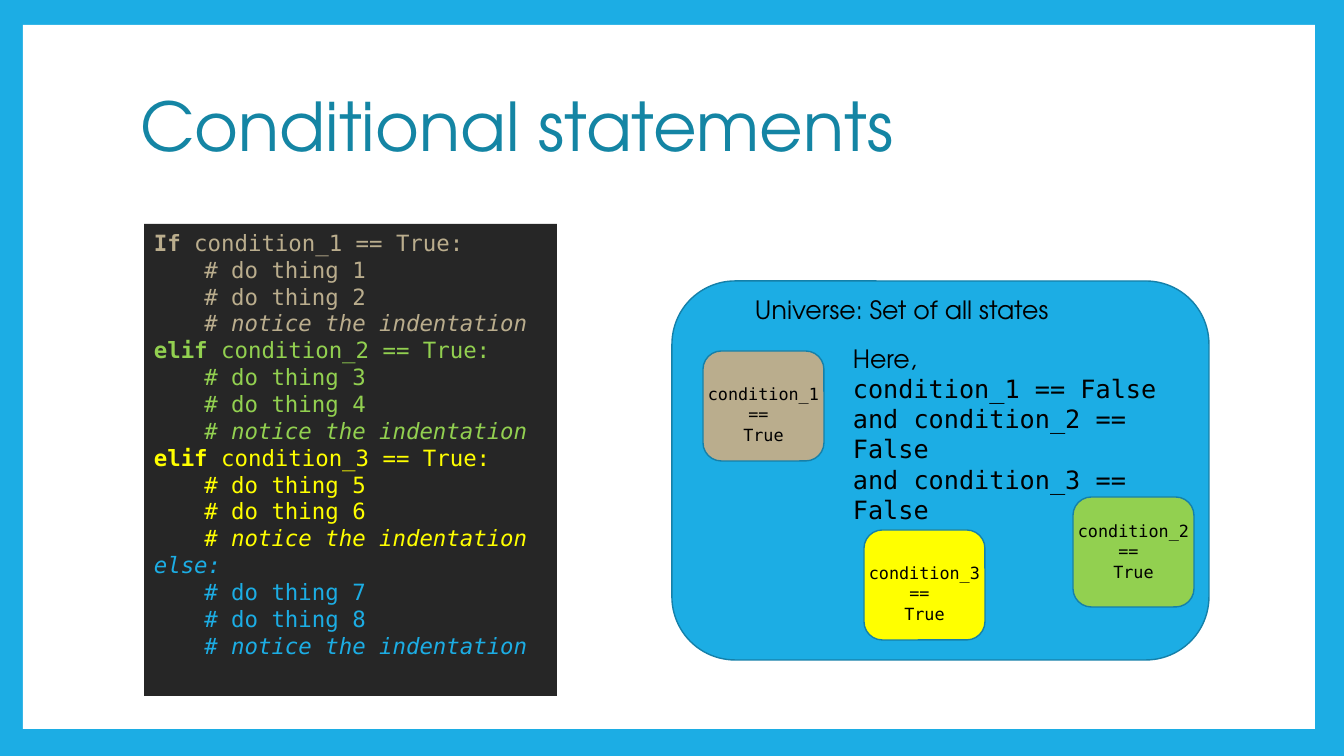
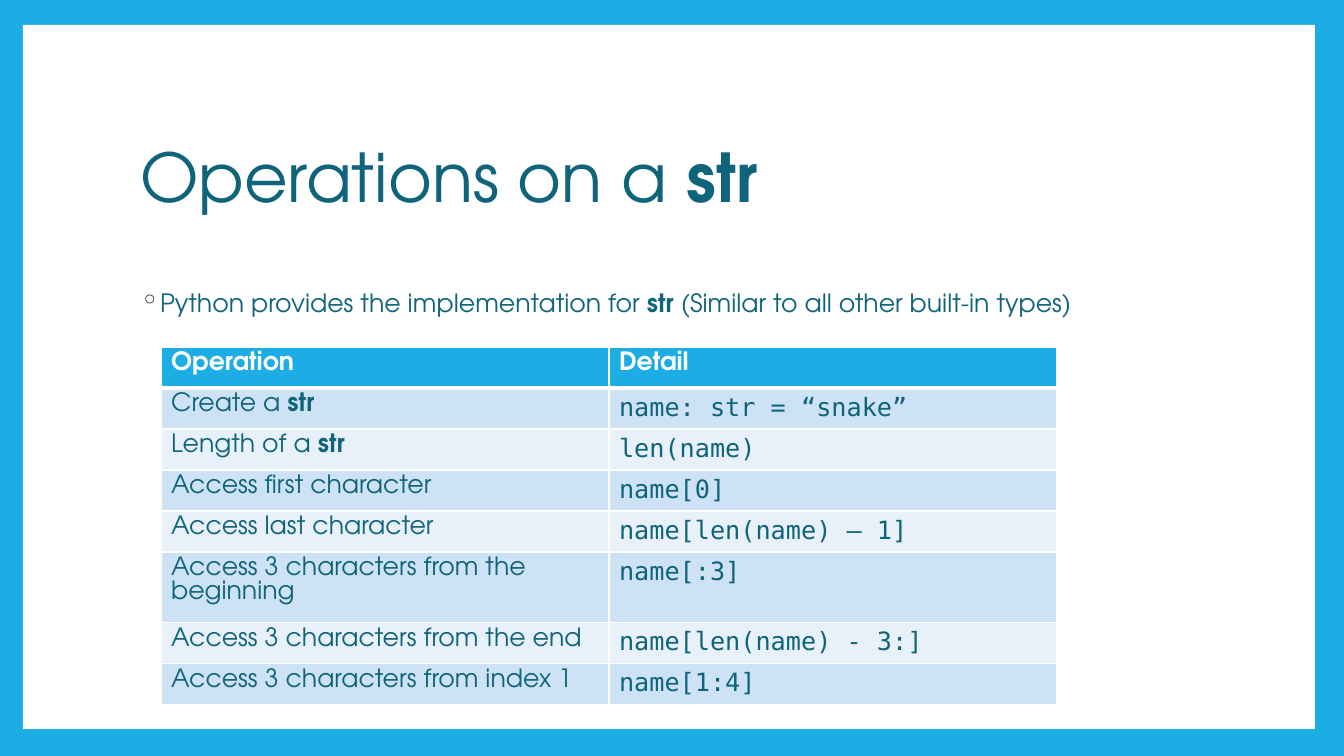
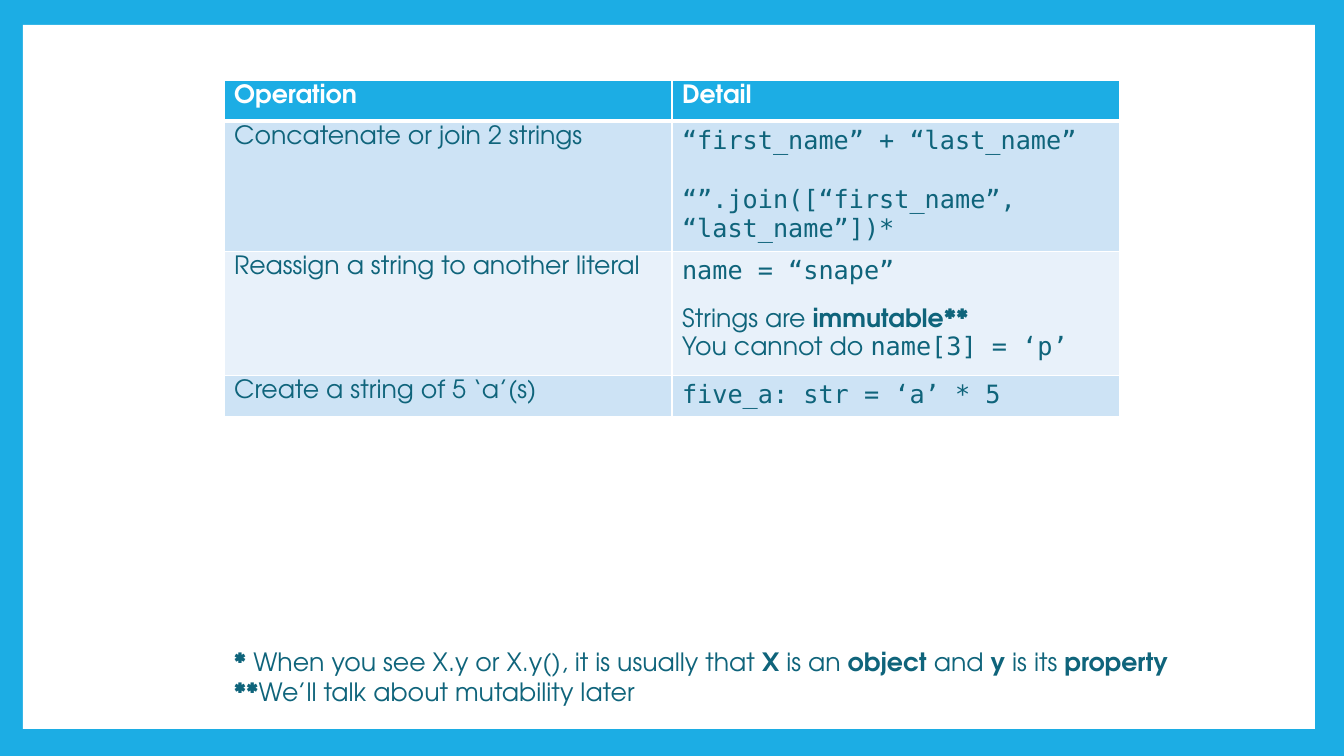
from pptx import Presentation
from pptx.dml.color import RGBColor
from pptx.enum.shapes import MSO_SHAPE
from pptx.enum.text import MSO_ANCHOR, PP_ALIGN
from pptx.oxml.ns import qn
from pptx.util import Emu, Pt
from lxml import etree

RECT, ROUND = MSO_SHAPE.RECTANGLE, MSO_SHAPE.ROUNDED_RECTANGLE
LEFT, MID = PP_ALIGN.LEFT, PP_ALIGN.CENTER
TOP, CENTER = MSO_ANCHOR.TOP, MSO_ANCHOR.MIDDLE
SANS, MONO = "TeX Gyre Adventor", "DejaVu Sans Mono"
WIDE, HIGH = 1344, 756
HUES = {
    "blue": "1CADE4", "edge": "1580A9", "title": "1485A4", "deep": "0F647B",
    "white": "FFFFFF", "black": "000000", "dark": "262626", "tan": "BAAD8D",
    "green": "92D050", "yellow": "FFFF00", "odd": "CDE3F5", "even": "E8F1FA",
}


def px(count):
    return Emu(round(count * 914400 / 100.8))


def hue(name):
    return RGBColor.from_string(HUES[name])


# Text: a line is a list of (text, flags); flags are b bold, i italic, m mono
def style(line, runs, size, color):
    for text, flags in runs:
        run = line.add_run()
        run.text = text
        font = run.font
        font.name = MONO if "m" in flags else SANS
        font.size = Pt(size)
        font.bold = "b" in flags
        font.italic = "i" in flags
        font.color.rgb = hue(color)


def write(frame, lines, size=18, color="deep", align=LEFT):
    for at, runs in enumerate(lines):
        line = frame.add_paragraph() if at else frame.paragraphs[0]
        line.alignment = align
        style(line, runs, size, color)
    return frame.paragraphs


def add_text(slide, box, lines, *look):
    frame = slide.shapes.add_textbox(*map(px, box)).text_frame
    frame.word_wrap = True
    return write(frame, lines, *look)


def add_box(slide, kind, box, fill, edge=None):
    shape = slide.shapes.add_shape(kind, *map(px, box))
    shape.shadow.inherit = False
    shape.fill.solid()
    shape.fill.fore_color.rgb = hue(fill)
    if edge:
        shape.line.color.rgb = hue(edge)
        shape.line.width = Pt(1)
    else:
        shape.line.fill.background()
    return shape


# Shared frame and title
def add_page(deck, layout):
    slide = deck.slides.add_slide(deck.slide_layouts[layout])
    back = [add_box(slide, RECT, (0, 0, WIDE, HIGH), "blue"),
            add_box(slide, RECT, (23, 25, 1292, 704), "white")]
    tree = slide.shapes._spTree
    for at, shape in enumerate(back):
        tree.insert(2 + at, shape._element)
    return slide


def add_title(slide, top, runs, color):
    title = slide.shapes.title
    title.left, title.top, title.width, title.height = map(
        px, (130, top, 1080, 168))
    frame = title.text_frame
    frame.word_wrap = True
    frame.vertical_anchor = CENTER
    write(frame, [runs], 48, color)[0].line_spacing = 0.9


# Code panel
def add_code(slide, box):
    frame = add_box(slide, RECT, box, "dark").text_frame
    frame.word_wrap = True
    frame.vertical_anchor = TOP
    heads = [
        ("tan", [("If", "mb"), (" condition_1 == True:", "m")]),
        ("green", [("elif", "mb"), (" condition_2 == True:", "m")]),
        ("yellow", [("elif", "mb"), (" condition_3 == True:", "m")]),
        ("blue", [("else:", "mi")]),
    ]
    for at, (color, head) in enumerate(heads):
        steps = [[(f"# do thing {2 * at + step}", "m")] for step in (1, 2)]
        note = [("# notice the indentation", "mi")]
        for row, runs in enumerate([head, *steps, note]):
            first = at == row == 0
            line = frame.paragraphs[0] if first else frame.add_paragraph()
            line.alignment = LEFT
            if row:
                line.level = 1
                line._p.get_or_add_pPr().set("marL", "457200")
            style(line, runs, 16, color)


# Diagram of states
def add_states(slide, box):
    left, top = box[:2]
    add_box(slide, ROUND, box, "blue", "edge")
    add_text(slide, (left + 73, top + 8, 319, 72),
             [[("Universe: Set of all states", "")]], 18, "black")
    states = [(1, 31, 70, 28, "tan"), (2, 401, 216, 19, "green"),
              (3, 192, 249, 28, "yellow")]
    for num, dx, dy, drop, fill in states:
        x, y = left + dx, top + dy
        add_box(slide, ROUND, (x, y, 121, 110), fill, "edge")
        words = (f"condition_{num} ", "== ", "True")
        add_text(slide, (x - 6, y + drop, 133, 72),
                 [[(word, "m")] for word in words], 12, "black", MID)
    add_text(slide, (left + 171, top + 57, 369, 132), [
        [("Here, ", "")],
        [("condition_1 == False ", "m")],
        [("and condition_2 == False ", "m")],
        [("and condition_3 == False", "m")],
    ], 18, "black")


# Table of operations
def add_edges(cell, row):
    props = cell._tc.get_or_add_tcPr()
    widths = {"lnL": 1, "lnR": 1, "lnT": 3 if row == 1 else 1,
              "lnB": 1 if row else 3}
    for tag, width in widths.items():
        line = etree.SubElement(props, qn(f"a:{tag}"), w=str(Pt(width)))
        fill = etree.SubElement(line, qn("a:solidFill"))
        etree.SubElement(fill, qn("a:srgbClr"), val=HUES["white"])


def add_table(slide, left, top, rows):
    head = ([("Operation", "b")], [[("Detail", "b")]])
    rows = [head, *rows]
    table = slide.shapes.add_table(
        len(rows), 2, px(left), px(top), px(896), px(41 * len(rows))).table
    for at, (name, detail) in enumerate(rows):
        table.rows[at].height = px(41)
        for cell, lines in zip(table.rows[at].cells, ([name], detail)):
            add_edges(cell, at)
            cell.fill.solid()
            shade = ("odd" if at % 2 else "even") if at else "blue"
            cell.fill.fore_color.rgb = hue(shade)
            write(cell.text_frame, lines, 18, "deep" if at else "white")
    return table


def add_bullet(line):
    props = line._p.get_or_add_pPr()
    props.set("marL", "182880")
    props.set("indent", "-182880")
    color = etree.SubElement(props, qn("a:buClr"))
    etree.SubElement(color, qn("a:srgbClr"), val=HUES["dark"])
    etree.SubElement(props, qn("a:buChar"), char="◦")


# Slides
def show_flow(deck):
    slide = add_page(deck, 5)
    add_title(slide, 46, [("Conditional statements", "")], "title")
    add_states(slide, (672, 281, 537, 379))
    add_code(slide, (144, 224, 413, 472))


def show_basics(deck):
    slide = add_page(deck, 5)
    add_title(slide, 97, [("Operations on a ", ""), ("str", "b")], "deep")
    line = add_text(slide, (130, 282, 1080, 376), [[
        ("Python provides the implementation for ", ""), ("str ", "b"),
        ("(Similar to all other built-in types)", "")]])[0]
    line.space_before = Pt(9)
    add_bullet(line)
    pairs = [
        ([("Create a ", ""), ("str", "b")], "name: str = “snake”"),
        ([("Length of a ", ""), ("str", "b")], "len(name)"),
        ([("Access first character", "")], "name[0]"),
        ([("Access last character", "")], "name[len(name) – 1]"),
        ([("Access 3 characters from the beginning", "")], "name[:3]"),
        ([("Access 3 characters from the end", "")], "name[len(name) - 3:]"),
        ([("Access 3 characters from index 1", "")], "name[1:4]"),
    ]
    add_table(slide, 161, 347,
              [(name, [[(code, "m")]]) for name, code in pairs])


def show_more(deck):
    slide = add_page(deck, 6)
    table = add_table(slide, 224, 80, [
        ([("Concatenate or join 2 strings", "")], [
            [("“first_name” + “last_name”", "m")],
            [("“”.join([“first_name”, “last_name”])*", "m")]]),
        ([("Reassign a string to another literal", "")], [
            [("name = “snape”", "m")],
            [("Strings are ", ""), ("immutable**", "b")],
            [("You cannot do ", ""), ("name[3] = ‘p’", "m")]]),
        ([("Create a string of 5 ‘a’(s)", "")],
         [[("five_a: str = ‘a’ * 5", "m")]]),
    ])
    for row, gap in ((1, 21), (2, 16.5)):
        lines = table.cell(row, 1).text_frame.paragraphs
        lines[0].space_after = Pt(gap)
    # Footnotes
    add_text(slide, (224, 641, 963, 72), [
        [("* ", "b"),
         ("When you see X.y or X.y(), it is usually that ", ""), ("X", "b"),
         (" is an ", ""), ("object", "b"), (" and ", ""), ("y", "b"),
         (" is its ", ""), ("property", "b")],
        [("**", "b"), ("We’ll talk about mutability later", "")],
    ])


deck = Presentation()
deck.slide_width, deck.slide_height = px(WIDE), px(HIGH)
show_flow(deck)
show_basics(deck)
show_more(deck)
deck.save("out.pptx")
